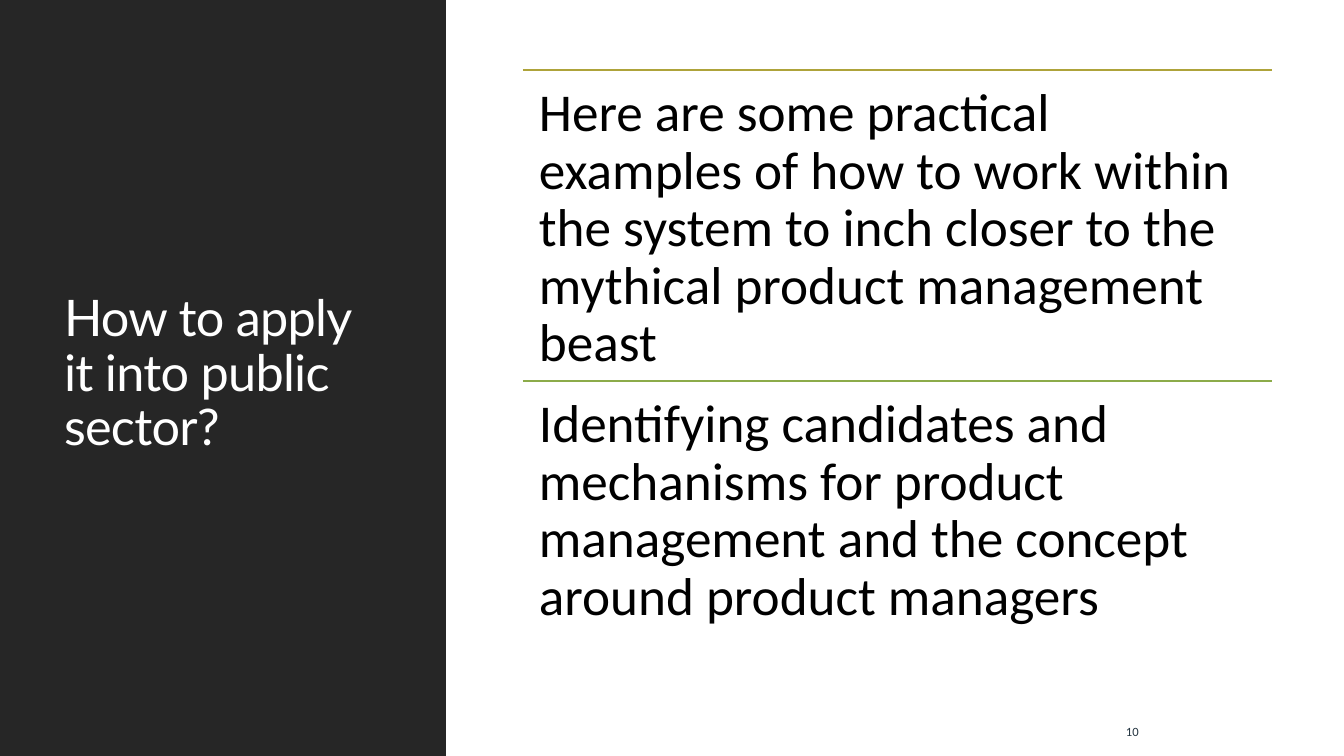
from lxml import etree
from pptx import Presentation
from pptx import util as u
from pptx.dml.color import RGBColor
from pptx.enum import shapes, text
from pptx.oxml.ns import qn

# Content
TITLE = "How to apply it into public sector?"
POINTS = [
    ("Here are some practical examples of how to work within the system "
     "to inch closer to the mythical product management beast", "AEA33A"),
    ("Identifying candidates and mechanisms for product management "
     "and the concept around product managers", "8CAB4A"),
]
PAGE_NUMBER = "10"

# Layout in px
PAGE_WIDTH, PAGE_HEIGHT = 1344, 756
PANEL_WIDTH = 446
POINT_LEFT, POINT_TOP, POINT_WIDTH, POINT_HEIGHT = 523, 70, 749, 311

MIDDLE, TOP = text.MSO_ANCHOR.MIDDLE, text.MSO_ANCHOR.TOP
TITLE_FORMAT = {"name": "Lato", "size": u.Pt(36)}
POINT_FORMAT = {"name": "Calibri", "size": u.Pt(38)}
NUMBER_FORMAT = {"name": "Calibri", "size": u.Pt(9)}


def px(length):
    return u.Emu(round(length * 914400 / 100.8))


def color(value):
    return RGBColor.from_string(value)


def add_text(page, words, area, style, ink, anchor, inset=(10, 5), spacing=1.0):
    box = page.shapes.add_textbox(*map(px, area))
    side, edge = map(px, inset)
    frame_format = {"word_wrap": True, "vertical_anchor": anchor,
                    "margin_left": side, "margin_right": side,
                    "margin_top": edge, "margin_bottom": edge}
    for key, value in frame_format.items():
        setattr(box.text_frame, key, value)
    para = box.text_frame.paragraphs[0]
    para.line_spacing = spacing
    span = para.add_run()
    span.text = words
    for key, value in style.items():
        setattr(span.font, key, value)
    span.font.color.rgb = color(ink)
    return span


def add_rule(page, left, top, width, ink):
    rule = page.shapes.add_connector(
        shapes.MSO_CONNECTOR.STRAIGHT, px(left), px(top), px(left + width), px(top))
    rule.line.color.rgb = color(ink)
    rule.line.width = u.Pt(1.25)
    etree.SubElement(rule._element.spPr, qn("a:effectLst"))


def main():
    deck = Presentation()
    deck.slide_width, deck.slide_height = px(PAGE_WIDTH), px(PAGE_HEIGHT)
    page = deck.slides.add_slide(deck.slide_layouts[6])

    # Dark title panel
    panel = page.shapes.add_shape(
        shapes.MSO_SHAPE.RECTANGLE, 0, 0, px(PANEL_WIDTH), px(PAGE_HEIGHT))
    panel.shadow.inherit = False
    panel.fill.solid()
    panel.fill.fore_color.rgb = color("262626")
    panel.line.fill.background()
    title = add_text(page, TITLE, (54, 57, 340, 636), TITLE_FORMAT, "FFFFFF",
                     MIDDLE, spacing=0.9)
    title.font._element.set("spc", "-50")

    # Points, each under its own rule
    for index, (words, ink) in enumerate(POINTS):
        top = POINT_TOP + index * POINT_HEIGHT
        add_rule(page, POINT_LEFT, top, POINT_WIDTH, ink)
        add_text(page, words, (POINT_LEFT, top, POINT_WIDTH, POINT_HEIGHT),
                 POINT_FORMAT, "000000", TOP, inset=(16, 16), spacing=0.9)

    # Page number
    add_text(page, PAGE_NUMBER, (1116, 712, 120, 40), NUMBER_FORMAT, "243541", MIDDLE)

    deck.save("out.pptx")


if __name__ == "__main__":
    main()
